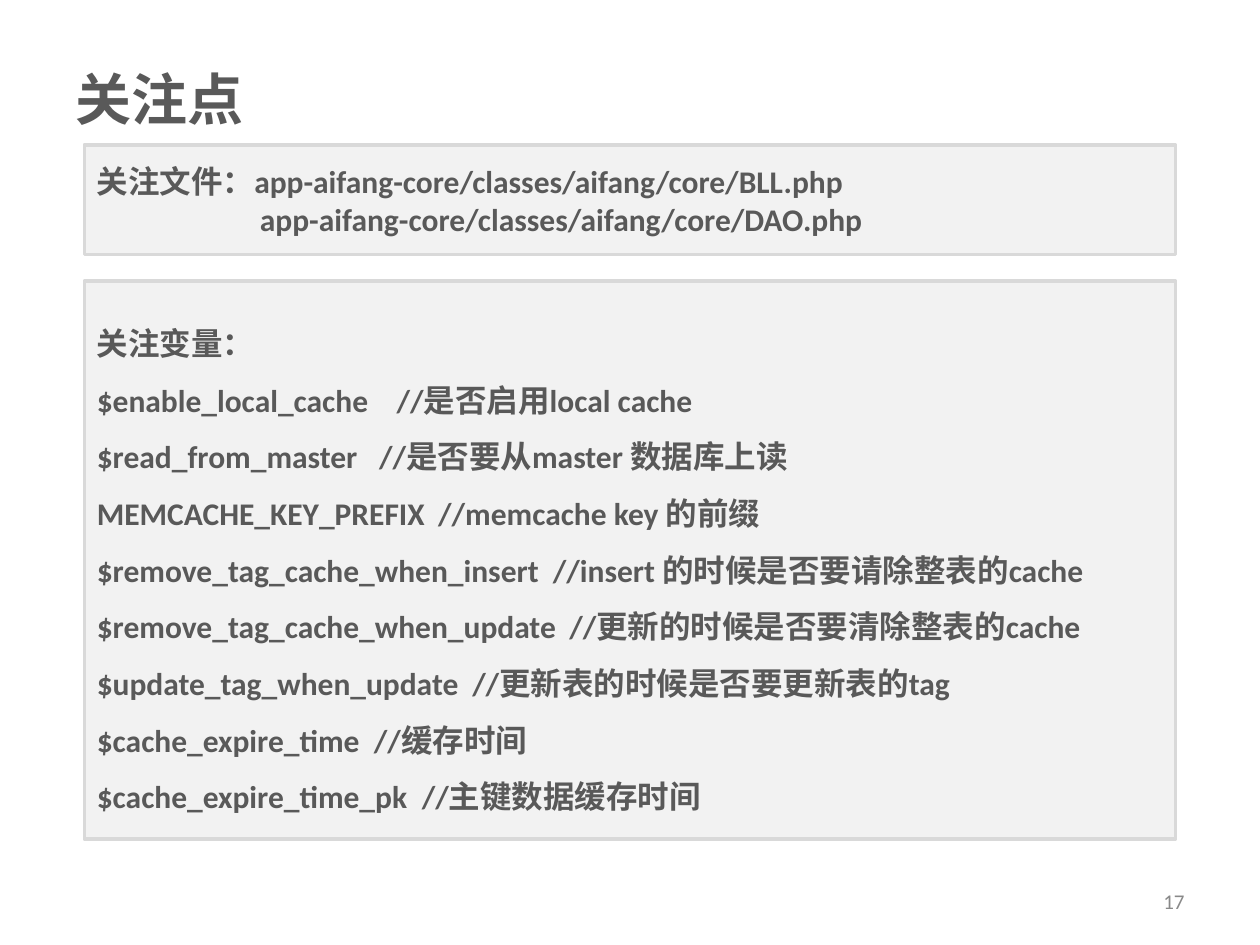
import dataclasses

import lxml.etree
import pptx
import pptx.dml.color
import pptx.enum.shapes
import pptx.enum.text
import pptx.oxml.ns
import pptx.util

ANCHOR_MIDDLE = pptx.enum.text.MSO_ANCHOR.MIDDLE
ALIGN = pptx.enum.text.PP_ALIGN


@dataclasses.dataclass(frozen=True)
class Theme:
    latin: str = "Calibri"
    chinese: str = "Noto Sans CJK SC"
    ink: str = "595959"
    muted: str = "898989"
    panel: str = "F2F2F2"
    border: str = "D9D9D9"
    border_width: float = 2
    title_size: int = 32
    body_size: int = 18
    number_size: int = 12
    body_spacing: float = 1.5


THEME = Theme()
WIDTH, HEIGHT = pptx.util.Inches(10), pptx.util.Inches(7.5)

# Left, top, width and height in percent of the slide
TITLE_BOX = (5, 4, 90, 12.67)
FILES_BOX = (6.7, 15.33, 86.6, 11.6)
VARIABLES_BOX = (6.7, 29.73, 86.6, 59.07)
NUMBER_BOX = (71.7, 92.67, 23.3, 5.33)

FILES_LABEL = "关注文件："
FILES = [
    "app-aifang-core/classes/aifang/core/BLL.php",
    "app-aifang-core/classes/aifang/core/DAO.php",
]
FILES_INDENT = 12.95  # percent of the slide width

VARIABLES_LABEL = "关注变量："
# Name, comment, and where the comment starts in percent of the slide width
VARIABLES = [
    ("$enable_local_cache", "//是否启用local cache", 23.8),
    ("$read_from_master", "//是否要从master 数据库上读", 22.4),
    ("MEMCACHE_KEY_PREFIX", "//memcache key 的前缀", 27.1),
    ("$remove_tag_cache_when_insert", "//insert 的时候是否要请除整表的cache", 36.2),
    ("$remove_tag_cache_when_update", "//更新的时候是否要清除整表的cache", 37.5),
    ("$update_tag_when_update", "//更新表的时候是否要更新表的tag", 29.8),
    ("$cache_expire_time", "//缓存时间", 22),
    ("$cache_expire_time_pk", "//主键数据缓存时间", 25.8),
]


def rgb(value):
    return pptx.dml.color.RGBColor.from_string(value)


def across(percent):
    return round(WIDTH * percent / 100)


def down(percent):
    return round(HEIGHT * percent / 100)


def placed(box):
    left, top, width, height = box
    return across(left), down(top), across(width), down(height)


def prepare_frame(shape):
    frame = shape.text_frame
    frame.word_wrap = True
    frame.vertical_anchor = ANCHOR_MIDDLE
    return frame


def add_run(paragraph, text, size=THEME.body_size, color=THEME.ink, bold=True, latin=THEME.latin):
    run = paragraph.add_run()
    run.text = text
    run.font.size = pptx.util.Pt(size)
    run.font.bold = bold
    run.font.color.rgb = rgb(color)
    run.font.name = latin
    east_asian = lxml.etree.SubElement(run.font._element, pptx.oxml.ns.qn("a:ea"))
    east_asian.set("typeface", THEME.chinese)


def set_tab(paragraph, percent):
    properties = paragraph._p.get_or_add_pPr()
    tabs = lxml.etree.SubElement(properties, pptx.oxml.ns.qn("a:tabLst"))
    lxml.etree.SubElement(tabs, pptx.oxml.ns.qn("a:tab"), pos=str(across(percent)), algn="l")


def add_text(slide, box, text, align=ALIGN.LEFT, **style):
    frame = prepare_frame(slide.shapes.add_textbox(*placed(box)))
    paragraph = frame.paragraphs[0]
    paragraph.alignment = align
    add_run(paragraph, text, **style)


def add_panel(slide, box):
    """Draw a bordered panel and return its text frame."""
    panel = slide.shapes.add_shape(pptx.enum.shapes.MSO_SHAPE.RECTANGLE, *placed(box))
    panel.shadow.inherit = False
    panel.fill.solid()
    panel.fill.fore_color.rgb = rgb(THEME.panel)
    panel.line.color.rgb = rgb(THEME.border)
    panel.line.width = pptx.util.Pt(THEME.border_width)
    return prepare_frame(panel)


def add_files(slide, box):
    frame = add_panel(slide, box)
    for index, file in enumerate(FILES):
        paragraph = frame.paragraphs[0] if index == 0 else frame.add_paragraph()
        paragraph.alignment = ALIGN.LEFT
        if index == 0:
            add_run(paragraph, FILES_LABEL)
        else:
            paragraph._p.get_or_add_pPr().set("marL", str(across(FILES_INDENT)))
        add_run(paragraph, file)


def add_variables(slide, box):
    frame = add_panel(slide, box)
    heading = frame.paragraphs[0]
    add_run(heading, VARIABLES_LABEL)
    for name, comment, start in VARIABLES:
        paragraph = frame.add_paragraph()
        set_tab(paragraph, start)
        add_run(paragraph, f"{name}\t{comment}")
    for paragraph in frame.paragraphs:
        paragraph.alignment = ALIGN.LEFT
        paragraph.line_spacing = THEME.body_spacing


def main():
    deck = pptx.Presentation()
    deck.slide_width, deck.slide_height = WIDTH, HEIGHT
    slide = deck.slides.add_slide(deck.slide_layouts[6])
    add_text(slide, TITLE_BOX, "关注点", size=THEME.title_size, latin=THEME.chinese)
    add_text(slide, NUMBER_BOX, "17", ALIGN.RIGHT,
             size=THEME.number_size, color=THEME.muted, bold=False)
    add_files(slide, FILES_BOX)
    add_variables(slide, VARIABLES_BOX)
    deck.save("out.pptx")


if __name__ == "__main__":
    main()
